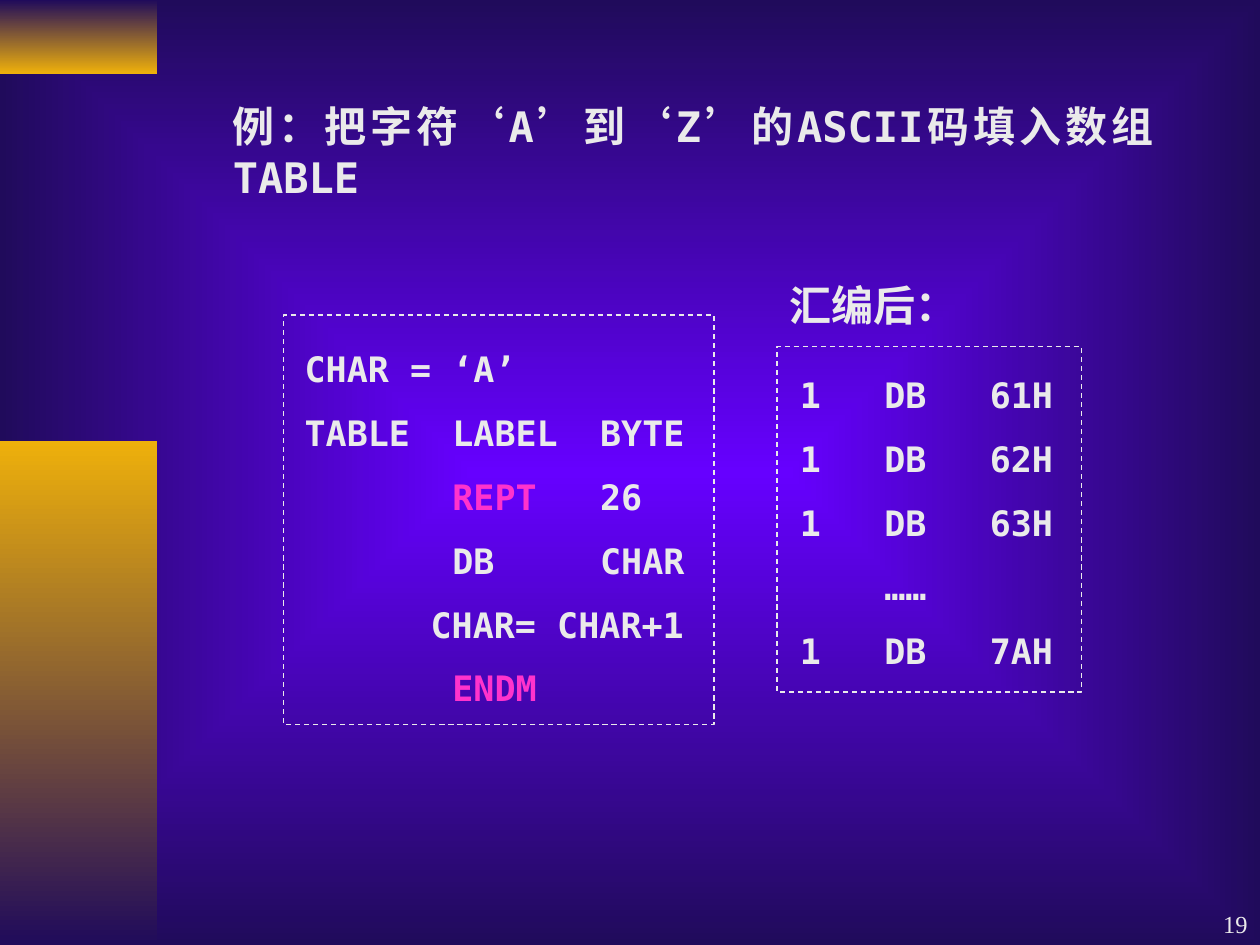
from lxml.etree import SubElement
from pptx import Presentation
from pptx.dml.color import RGBColor
from pptx.enum.dml import MSO_LINE
from pptx.enum.shapes import MSO_SHAPE
from pptx.enum.text import MSO_ANCHOR, PP_ALIGN
from pptx.oxml.ns import qn
from pptx.util import Pt

NAVY, VIOLET, GOLD = "200B5B", "6600FF", "EEB00B"
PALE, PINK = "EAEAEA", "FF33CC"
MONO, COURIER, SERIF = "DejaVu Sans Mono", "Courier New", "Times New Roman"


def rgb(hex_color):
    return RGBColor.from_string(hex_color)


def set_gradient(fill, start, end):
    fill.gradient()
    for stop, color in zip(fill.gradient_stops, (start, end)):
        stop.color.rgb = rgb(color)


def paint_background(slide):
    set_gradient(slide.background.fill, VIOLET, NAVY)
    # Let the gradient spread as a rectangle from the centre
    gradient = slide.element.find(".//" + qn("a:gradFill"))
    gradient.remove(gradient.find(qn("a:lin")))
    spread = SubElement(gradient, qn("a:path"), path="rect")
    SubElement(spread, qn("a:fillToRect"),
               {side: "50000" for side in "ltrb"})


def add_rectangle(slide, left, top, width, height):
    rectangle = slide.shapes.add_shape(
        MSO_SHAPE.RECTANGLE, Pt(left), Pt(top), Pt(width), Pt(height))
    rectangle.shadow.inherit = False
    return rectangle


def add_side_band(slide, top, height, start, end):
    band = add_rectangle(slide, 0, top, 90, height)
    set_gradient(band.fill, start, end)
    band.fill.gradient_angle = 270
    band.line.fill.background()


def add_dashed_frame(slide, left, top, width, height):
    frame = add_rectangle(slide, left, top, width, height)
    frame.fill.background()
    frame.line.color.rgb = rgb(PALE)
    frame.line.width = Pt(0.75)
    frame.line.dash_style = MSO_LINE.DASH


def add_tab_stops(paragraph):
    tabs = SubElement(paragraph._p.get_or_add_pPr(), qn("a:tabLst"))
    for inch in range(1, 8):
        SubElement(tabs, qn("a:tab"), pos=str(Pt(72 * inch)), algn="l")


def add_text(slide, box, lines, size, bold=True, align=PP_ALIGN.JUSTIFY,
             anchor=MSO_ANCHOR.TOP, gap=12.5):
    """Each line is a list of (text, font, color) runs."""
    frame = slide.shapes.add_textbox(*map(Pt, box)).text_frame
    frame.word_wrap = True
    frame.vertical_anchor = anchor
    for index, runs in enumerate(lines):
        paragraph = frame.add_paragraph() if index else frame.paragraphs[0]
        paragraph.alignment = align
        if index:
            paragraph.space_before = Pt(gap)
        add_tab_stops(paragraph)
        for text, font, color in runs:
            run = paragraph.add_run()
            run.text = text
            run.font.name = font
            run.font.size = Pt(size)
            run.font.bold = bold
            run.font.color.rgb = rgb(color)


def code(text, color=PALE):
    return text, MONO, color


def main():
    prs = Presentation()
    prs.slide_width, prs.slide_height = Pt(720), Pt(540)
    slide = prs.slides.add_slide(prs.slide_layouts[6])

    # Backdrop
    paint_background(slide)
    add_side_band(slide, 0, 42, NAVY, GOLD)
    add_side_band(slide, 252, 288, GOLD, NAVY)

    # Task
    add_text(slide, (126, 54, 540, 65), [
        [("例：", COURIER, PALE), code("把字符‘A’到‘Z’的ASCII码填入数组TABLE")],
    ], 24)

    # Source code
    source_lines = [
        [code("CHAR = ‘A’")],
        [code("TABLE  LABEL  BYTE")],
        [code("       "), code("REPT ", PINK), code("  26")],
        [code("       DB     CHAR")],
        [code("\tCHAR= CHAR+1")],
        [code("       "), code("ENDM", PINK)],
    ]
    add_text(slide, (167, 195, 241, 214), source_lines, 20)
    add_dashed_frame(slide, 162, 180, 246, 234)

    # Assembled result
    result_lines = [
        [code(line)] for line in (
            "1   DB   61H", "1   DB   62H", "1   DB   63H",
            "    ……", "1   DB   7AH")
    ]
    add_text(slide, (450, 210, 174, 177), result_lines, 20)
    add_dashed_frame(slide, 444, 198, 174, 197.5)
    add_text(slide, (444, 156, 114, 36), [[("汇编后：", COURIER, PALE)]], 24)

    # Page number
    add_text(slide, (570, 504, 150, 36), [[("19", SERIF, PALE)]], 14,
             bold=False, align=PP_ALIGN.RIGHT, anchor=MSO_ANCHOR.BOTTOM)

    prs.save("out.pptx")


if __name__ == "__main__":
    main()
